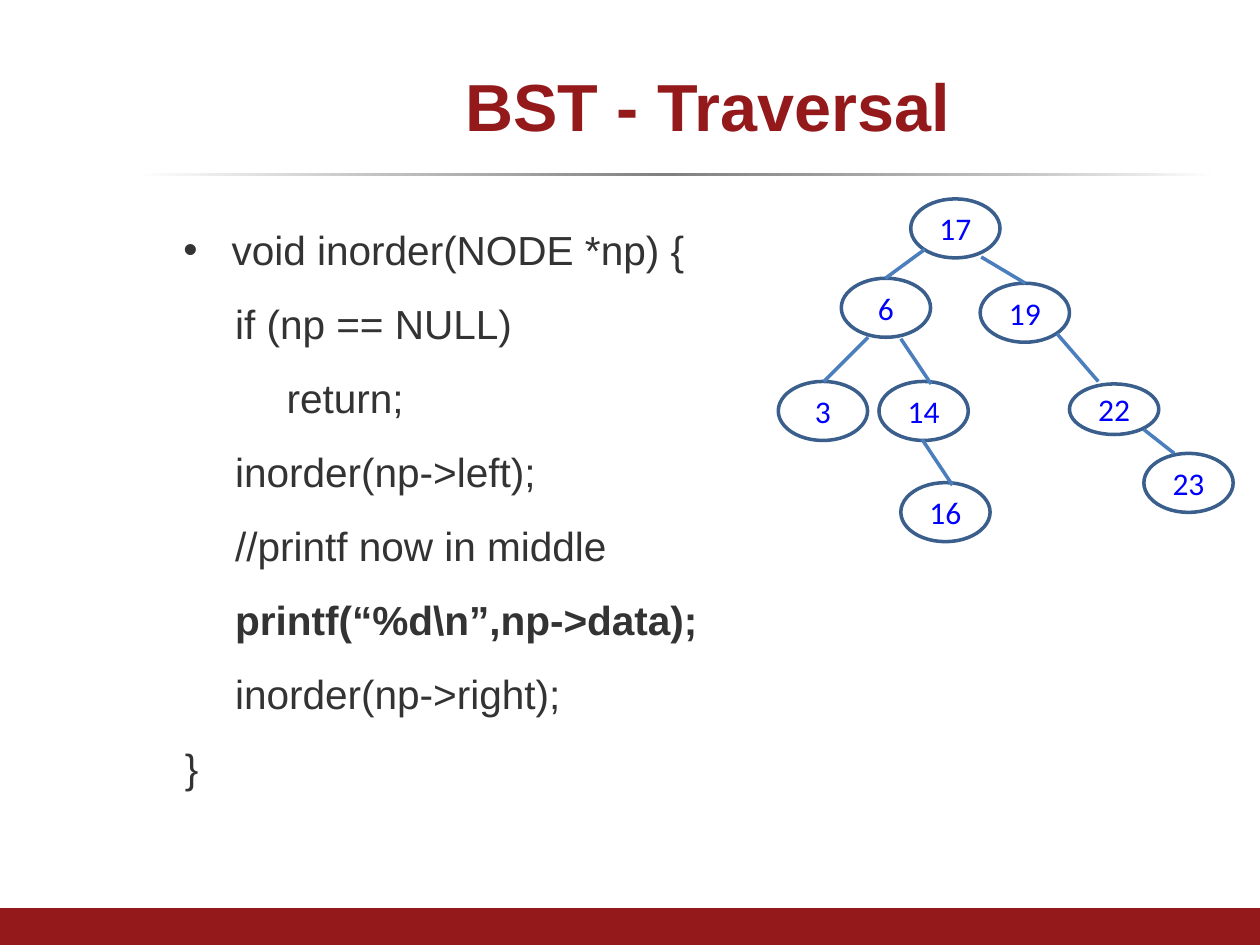
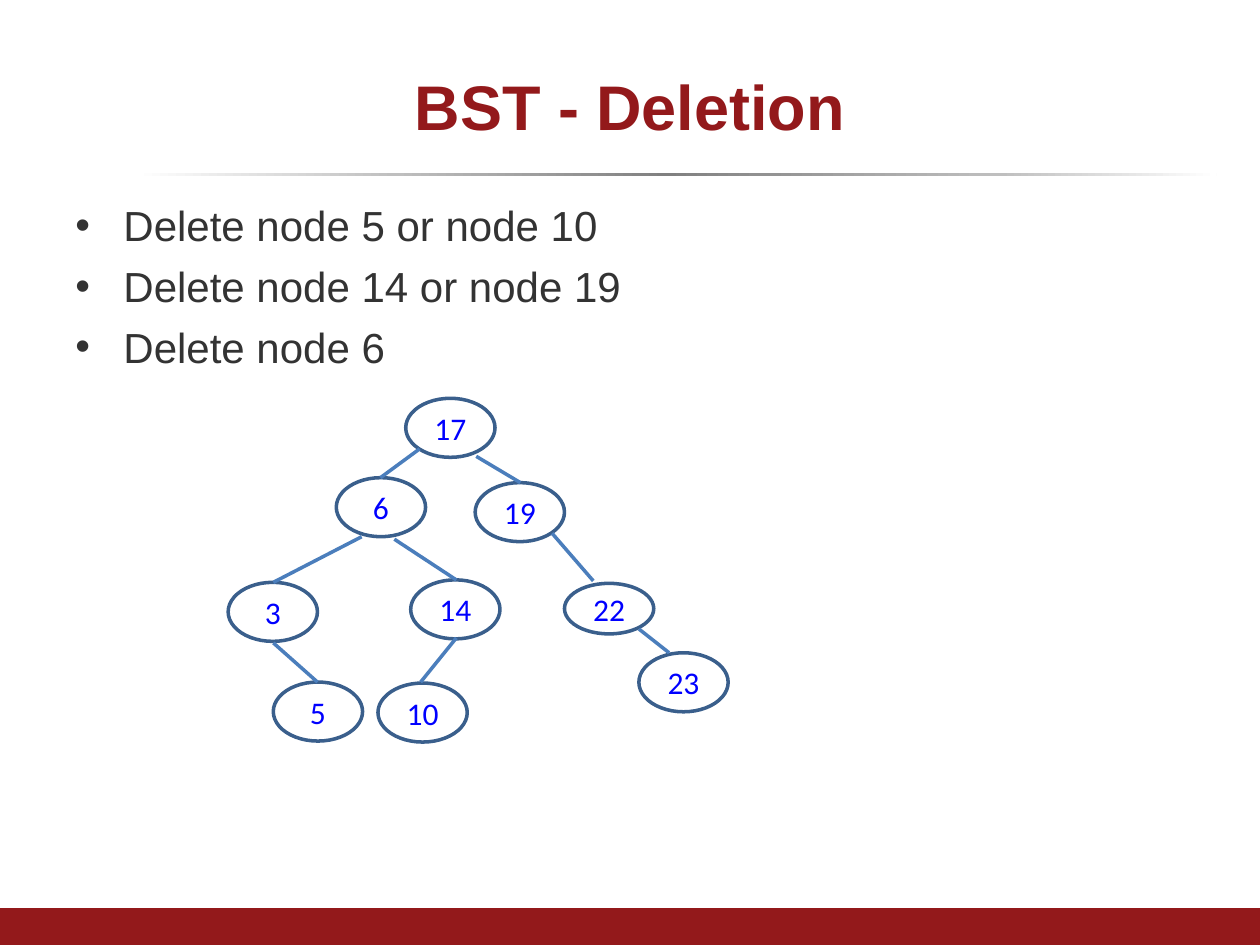
from lxml import etree
from pptx import Presentation
from pptx.dml.color import RGBColor
from pptx.enum.shapes import MSO_CONNECTOR, MSO_SHAPE
from pptx.enum.text import MSO_ANCHOR, PP_ALIGN
from pptx.oxml.ns import qn
from pptx.util import Cm, Pt

RECTANGLE, ELLIPSE = MSO_SHAPE.RECTANGLE, MSO_SHAPE.OVAL
STRAIGHT = MSO_CONNECTOR.STRAIGHT
MIDDLE, CENTER = MSO_ANCHOR.MIDDLE, PP_ALIGN.CENTER

COLORS = {"accent": "93191B", "text": "333333", "node_line": "3A5F8C",
          "edge": "4B7EBC", "key": "0000FF"}
RULE_STOPS = [(0, "FFFFFF"), (24, "BFBFBF"), (49, "808080"), (80, "BFBFBF"), (100, "FFFFFF")]
RULE_AT = (2.74, 3.48, 21.79, 0.08)
BAND_AT = (0, 18.31, 25.4, 0.74)
NODE_WIDTH, NODE_HEIGHT, FLAT_HEIGHT = 1.8, 1.19, 1.02
FLAT_KEYS = {"22"}

# Styles: left margin, first-line indent, outline level, bullet, bold
STYLES = {
    "opening": (1.73, -0.97, 0, True, False),
    "body": (1.8, 0, 1, False, False),
    "nested": (2.84, 0, 2, False, False),
    "strong": (1.8, 0, 1, False, True),
    "closing": (0.79, 0, 0, False, False),
    "bullet": (0.97, -0.97, 0, True, False),
}

COMMON_NODES = {"17": (0, 0), "6": (-1.4, 1.6), "19": (1.4, 1.7),
                "22": (3.2, 3.73), "23": (4.7, 5.13)}
COMMON_EDGES = [((0.28, 1.02), (-0.51, 1.6)), ((1.42, 1.17), (2.31, 1.7)),
                ((2.95, 2.72), (3.78, 3.68)), ((4.7, 4.65), (5.31, 5.13))]

SLIDES = [
    {
        "title": "BST - Traversal", "title_left": 2.84, "title_size": 38,
        "text_at": (2.69, 4.32, 20.45, 11.15), "text_size": 23.2, "gap": 14.4,
        "lines": [
            ("opening", "void inorder(NODE *np) {"),
            ("body", "if (np == NULL)"),
            ("nested", "return;"),
            ("body", "inorder(np->left);"),
            ("body", "//printf now in middle"),
            ("strong", "printf(“%d\\n”,np->data);"),
            ("body", "inorder(np->right);"),
            ("closing", "}"),
        ],
        "root": (18.36, 4.01),
        "nodes": {"3": (-2.67, 3.68), "14": (-0.64, 3.68), "16": (-0.2, 5.72)},
        "edges": [((-0.86, 2.79), (-1.75, 3.68)), ((-0.2, 2.82), (0.41, 3.73)),
                  ((0.23, 4.85), (0.84, 5.77))],
    },
    {
        "title": "BST - Deletion", "title_left": 1.27, "title_size": 36,
        "text_at": (1.27, 3.81, 22.86, 14.4), "text_size": 24, "gap": 5.8,
        "lines": [
            ("bullet", "Delete node 5 or node 10"),
            ("bullet", "Delete node 14 or node 19"),
            ("bullet", "Delete node 6"),
        ],
        "root": (8.18, 8.03),
        "nodes": {"3": (-3.58, 3.71), "14": (0.1, 3.66), "10": (-0.56, 5.74),
                  "5": (-2.67, 5.72)},
        "edges": [((-0.89, 2.79), (-2.67, 3.71)), ((-0.23, 2.84), (1.02, 3.66)),
                  ((1.02, 4.83), (0.3, 5.72)), ((-2.67, 4.93), (-1.78, 5.72))],
    },
]


def color(name):
    return RGBColor.from_string(COLORS[name])


def lengths(values):
    return [Cm(value) for value in values]


def add_span(para, text, size, font, tint, bold=False):
    span = para.add_run()
    span.text = text
    span.font.size, span.font.name, span.font.bold = Pt(size), font, bold
    span.font.color.rgb = color(tint)


def add_plain_shape(page, kind, at):
    shape = page.shapes.add_shape(kind, *lengths(at))
    shape.shadow.inherit = False
    shape.fill.background()
    shape.line.fill.background()
    return shape


def add_frame(page):
    rule = add_plain_shape(page, RECTANGLE, RULE_AT)
    rule.fill.gradient()
    rule.fill.gradient_angle = 0
    stops = rule.fill._fill._gradFill.find(qn("a:gsLst"))
    for stop in list(stops):
        stops.remove(stop)
    for percent, tint in RULE_STOPS:
        stop = etree.SubElement(stops, qn("a:gs"), pos=str(percent * 1000))
        etree.SubElement(stop, qn("a:srgbClr"), val=tint)
    band = add_plain_shape(page, RECTANGLE, BAND_AT)
    band.fill.solid()
    band.fill.fore_color.rgb = color("accent")


def add_title(page, text, left, size):
    box = page.shapes.add_textbox(*lengths((left, 0.76, 22.86, 2.72)))
    frame = box.text_frame
    frame.word_wrap, frame.vertical_anchor = True, MIDDLE
    para = frame.paragraphs[0]
    para.alignment = CENTER
    add_span(para, text, size, "Arial", "accent", True)


def add_lines(page, at, lines, size, gap):
    frame = page.shapes.add_textbox(*lengths(at)).text_frame
    frame.word_wrap = True
    frame.margin_top = Cm(0.22)
    for index, (style, text) in enumerate(lines):
        margin, indent, level, bullet, bold = STYLES[style]
        para = frame.add_paragraph() if index else frame.paragraphs[0]
        para.level = level
        para.space_before = Pt(gap if index else 0)
        properties = para._p.get_or_add_pPr()
        properties.set("marL", str(Cm(margin)))
        properties.set("indent", str(Cm(indent)))
        if bullet:
            etree.SubElement(properties, qn("a:buFont"), typeface="Arial")
            etree.SubElement(properties, qn("a:buChar"), char="•")
        else:
            etree.SubElement(properties, qn("a:buNone"))
        add_span(para, text, size, "Arial", "text", bold)


def add_node(page, key, left, top):
    height = FLAT_HEIGHT if key in FLAT_KEYS else NODE_HEIGHT
    node = add_plain_shape(page, ELLIPSE, (left, top, NODE_WIDTH, height))
    node.line.color.rgb = color("node_line")
    node.line.width = Pt(2)
    frame = node.text_frame
    frame.vertical_anchor = MIDDLE
    frame.margin_left = frame.margin_right = frame.margin_top = frame.margin_bottom = 0
    para = frame.paragraphs[0]
    para.alignment = CENTER
    add_span(para, key, 18, "Calibri", "key")


def add_edge(page, start, end):
    edge = page.shapes.add_connector(STRAIGHT, *lengths(start + end))
    edge.line.color.rgb = color("edge")
    edge.line.width = Pt(2)
    etree.SubElement(edge._element.spPr, qn("a:effectLst"))


def add_tree(page, root, nodes, edges):
    def place(point):
        return root[0] + point[0], root[1] + point[1]

    for key, corner in {**COMMON_NODES, **nodes}.items():
        add_node(page, key, *place(corner))
    for start, end in COMMON_EDGES + edges:
        add_edge(page, place(start), place(end))


def main():
    deck = Presentation()
    deck.slide_width, deck.slide_height = Cm(25.4), Cm(19.05)
    for content in SLIDES:
        page = deck.slides.add_slide(deck.slide_layouts[6])
        add_frame(page)
        add_lines(page, content["text_at"], content["lines"],
                  content["text_size"], content["gap"])
        add_title(page, content["title"], content["title_left"], content["title_size"])
        add_tree(page, content["root"], content["nodes"], content["edges"])
    deck.save("out.pptx")


if __name__ == "__main__":
    main()
